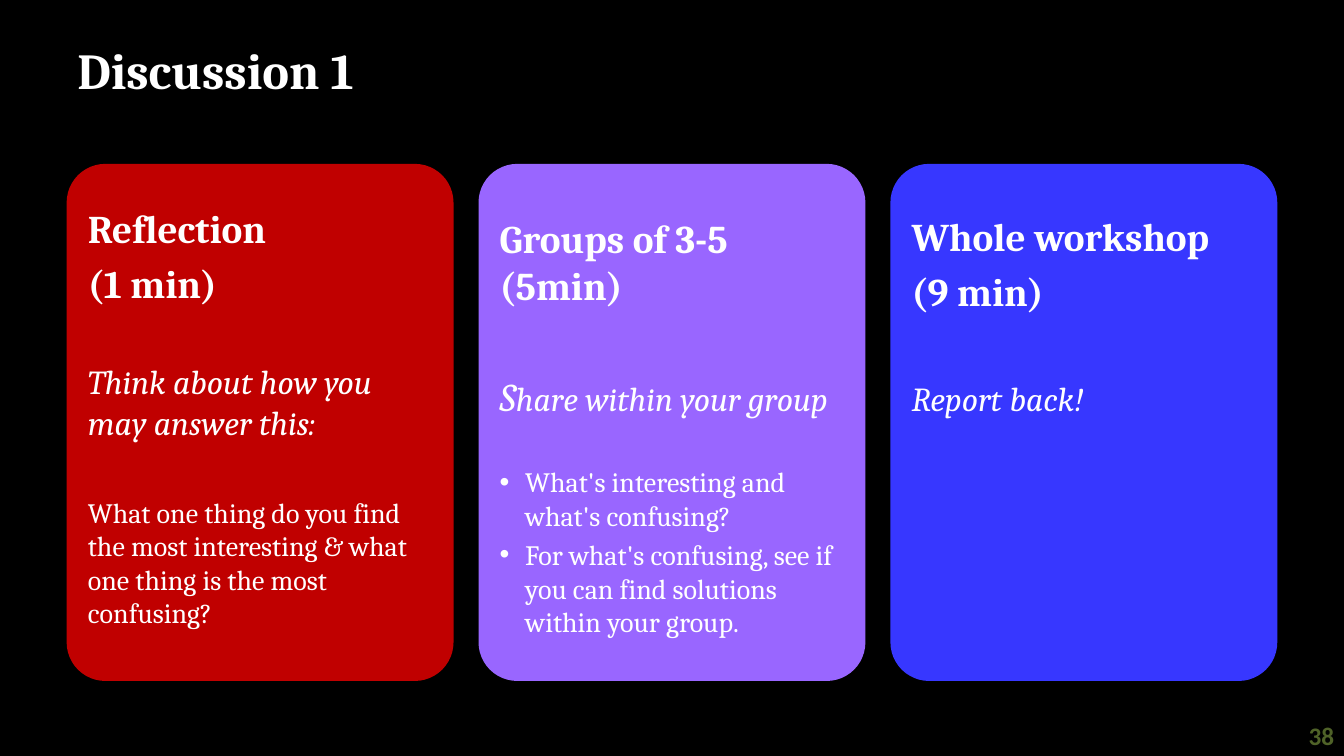
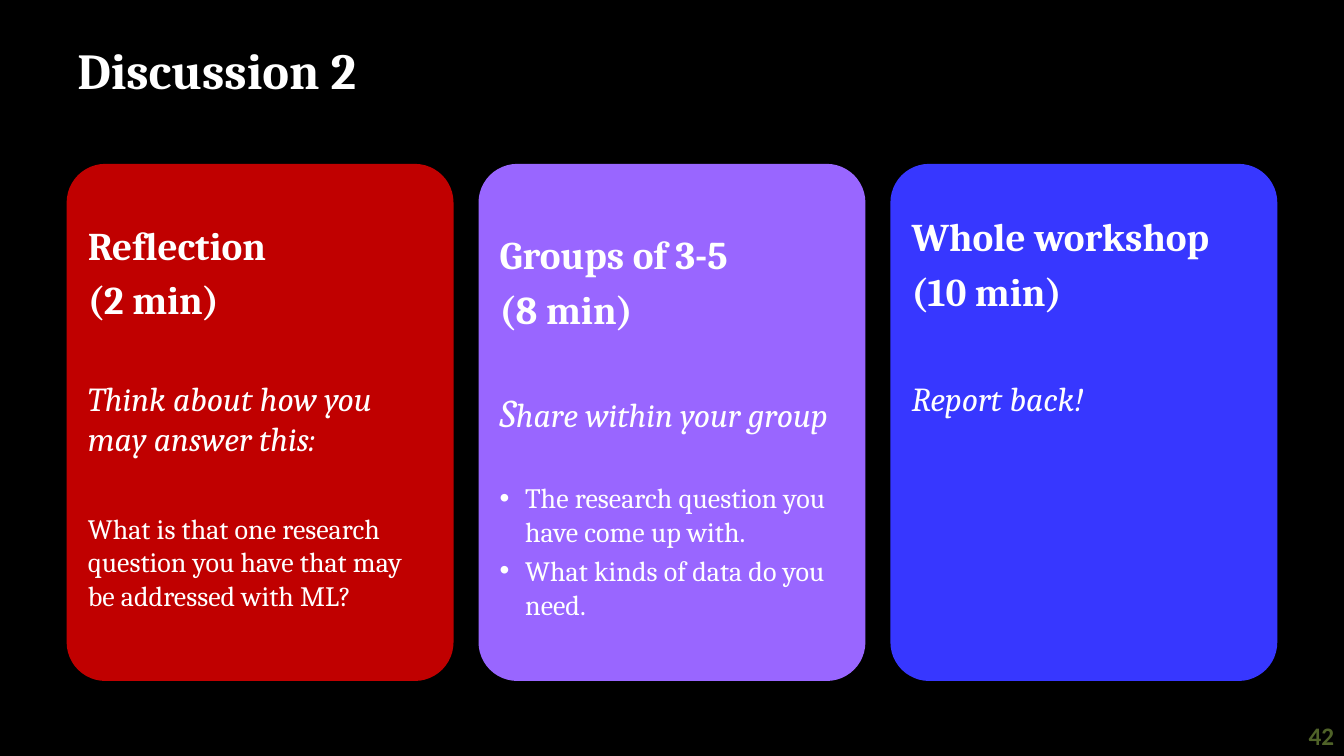
from dataclasses import dataclass

from lxml.etree import SubElement
from pptx import Presentation
from pptx.dml.color import RGBColor
from pptx.enum.shapes import MSO_SHAPE
from pptx.enum.text import MSO_ANCHOR, PP_ALIGN
from pptx.oxml.ns import qn
from pptx.util import Cm, Pt

WHITE, BLACK, OLIVE = "FFFFFF", "000000", "4F6228"
CARD_FILLS = ("C00000", "9966FF", "3737FF")
CARD_LEFT, CARD_TOP, CARD_WIDTH, CARD_HEIGHT = 1.68, 4.13, 9.75, 13.03
CARD_PITCH = 10.38
BULLET_INDENT = 0.64

TITLE = {"name": "Cambria", "size": Pt(36), "bold": True}
NUMBER = {"name": "Calibri", "size": Pt(18), "bold": True}
HEADING = {"name": "Cambria", "size": Pt(28), "bold": True}
PROMPT = {"name": "Cambria", "size": Pt(24), "italic": True}
INITIAL = PROMPT | {"size": Pt(28)}
BODY = {"name": "Cambria", "size": Pt(20)}


@dataclass(frozen=True)
class Line:
    """One paragraph of (text, style) runs; gap is the space before in points."""
    runs: tuple
    gap: float = 0
    bullet: bool = False


@dataclass(frozen=True)
class Card:
    """The lines of one card, starting at the given top inset in cm."""
    inset: float
    lines: tuple


@dataclass(frozen=True)
class Discussion:
    title: str
    number: str
    cards: tuple


def heading(*texts: str) -> tuple:
    return tuple(Line(((text, HEADING),), 5.6 if index else 0)
                 for index, text in enumerate(texts))


def reflection(inset: float, time: str, question: str) -> Card:
    return Card(inset, heading("Reflection", time) + (
        Line((("Think about how you may answer this:", PROMPT),), 39),
        Line(((question, BODY),), 38)))


def groups(inset: float, headings: tuple, gap: float, topics: tuple) -> Card:
    share = Line((("S", INITIAL), ("hare within your group", PROMPT)), gap)
    bullets = tuple(Line(((topic, BODY),), 4 if index else 32.4, True)
                    for index, topic in enumerate(topics))
    return Card(inset, heading(*headings) + (share,) + bullets)


def workshop(time: str) -> Card:
    return Card(0.94, heading("Whole workshop", time)
                + (Line((("Report back!", PROMPT),), 45),))


DISCUSSIONS = (
    Discussion("Discussion 1", "38", (
        reflection(0.74, "(1 min)", "What one thing do you find the most interesting "
                   "& what one thing is the most confusing?"),
        groups(0.99, ("Groups of 3-5 (5min)",), 45.4, (
            "What's interesting and what's confusing?",
            "For what's confusing, see if you can find solutions within your group.")),
        workshop("(9 min)"))),
    Discussion("Discussion 2", "42", (
        reflection(1.15, "(2 min)", "What is that one research question you have "
                   "that may be addressed with ML?"),
        groups(1.4, ("Groups of 3-5", "(8 min)"), 39.7, (
            "The research question you have come up with.",
            "What kinds of data do you need.")),
        workshop("(10 min)"))),
)


def color(value: str) -> RGBColor:
    return RGBColor.from_string(value)


def add_run(paragraph, text: str, style: dict, text_color: str = WHITE) -> None:
    run = paragraph.add_run()
    run.text = text
    for name, value in style.items():
        setattr(run.font, name, value)
    run.font.color.rgb = color(text_color)


def add_bullet(paragraph) -> None:
    properties = paragraph._p.get_or_add_pPr()
    properties.set("marL", str(Cm(BULLET_INDENT)))
    properties.set("indent", str(-Cm(BULLET_INDENT)))
    SubElement(properties, qn("a:buFont"), typeface="Arial")
    SubElement(properties, qn("a:buChar"), char="•")


def add_label(slide, box: tuple, text: str, style: dict, text_color: str,
              alignment: PP_ALIGN) -> None:
    frame = slide.shapes.add_textbox(*map(Cm, box)).text_frame
    frame.word_wrap = True
    frame.vertical_anchor = MSO_ANCHOR.MIDDLE
    frame.paragraphs[0].alignment = alignment
    add_run(frame.paragraphs[0], text, style, text_color)


def add_card(slide, column: int, card: Card) -> None:
    shape = slide.shapes.add_shape(
        MSO_SHAPE.ROUNDED_RECTANGLE, Cm(CARD_LEFT + column * CARD_PITCH),
        Cm(CARD_TOP), Cm(CARD_WIDTH), Cm(CARD_HEIGHT))
    shape.adjustments[0] = 0.1
    shape.shadow.inherit = False
    shape.fill.solid()
    shape.fill.fore_color.rgb = color(CARD_FILLS[column])
    shape.line.fill.background()
    frame = shape.text_frame
    frame.word_wrap = True
    frame.vertical_anchor = MSO_ANCHOR.TOP
    frame.margin_top = Cm(card.inset)
    for index, line in enumerate(card.lines):
        paragraph = frame.add_paragraph() if index else frame.paragraphs[0]
        paragraph.alignment = PP_ALIGN.LEFT
        if line.bullet:
            add_bullet(paragraph)
        if line.gap:
            paragraph.space_before = Pt(line.gap)
        for text, style in line.runs:
            add_run(paragraph, text, style)


def add_discussion(presentation, discussion: Discussion) -> None:
    slide = presentation.slides.add_slide(presentation.slide_layouts[6])
    add_label(slide, (1.7, 0.76, 30.48, 1.98), discussion.title, TITLE, WHITE,
              PP_ALIGN.LEFT)
    add_label(slide, (32.17, 18.03, 1.7, 1.02), discussion.number, NUMBER, OLIVE,
              PP_ALIGN.RIGHT)
    for column, card in enumerate(discussion.cards):
        add_card(slide, column, card)


def main() -> None:
    presentation = Presentation()
    presentation.slide_width, presentation.slide_height = Cm(33.87), Cm(19.05)
    background = presentation.slide_master.background.fill
    background.solid()
    background.fore_color.rgb = color(BLACK)
    for discussion in DISCUSSIONS:
        add_discussion(presentation, discussion)
    presentation.save("out.pptx")


if __name__ == "__main__":
    main()
